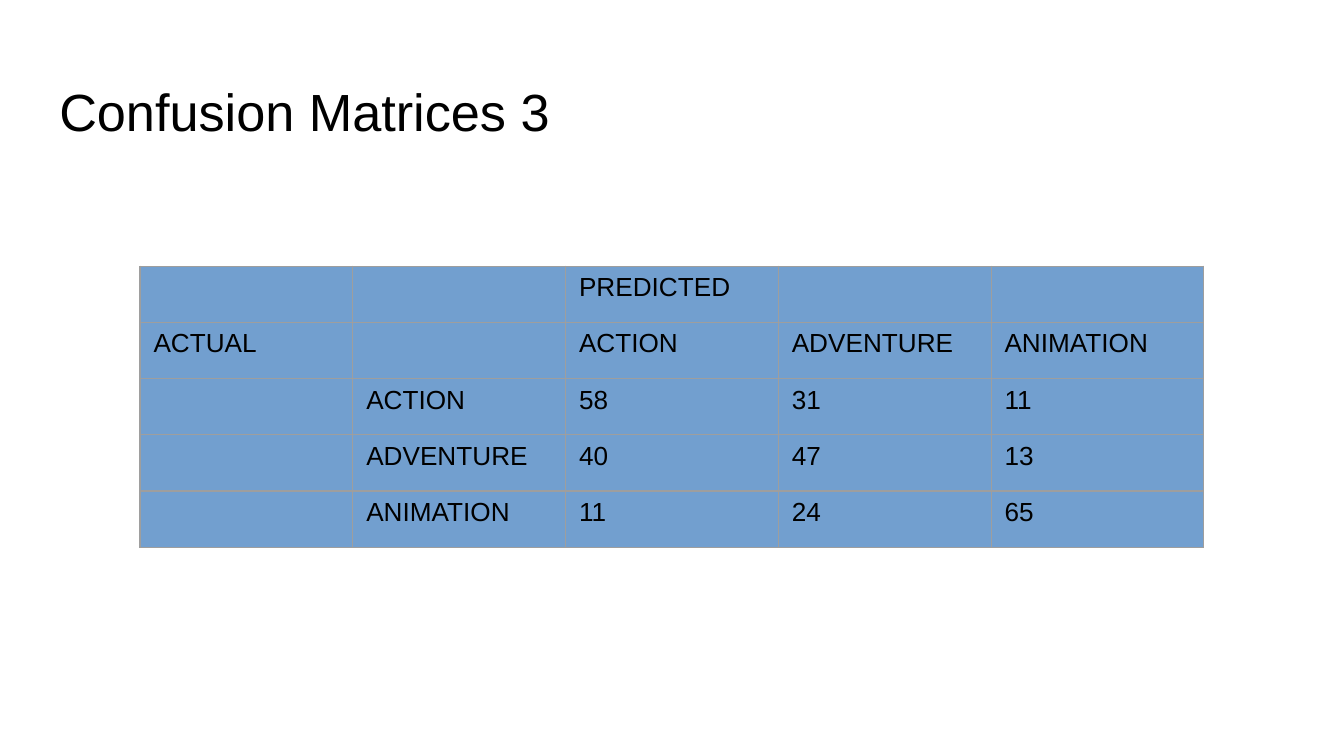
from lxml import etree
from pptx import Presentation
from pptx.dml.color import RGBColor
from pptx.enum.text import MSO_ANCHOR, MSO_AUTO_SIZE, PP_ALIGN
from pptx.oxml.ns import qn
from pptx.util import Inches, Pt

LEFT = PP_ALIGN.LEFT
TOP = MSO_ANCHOR.TOP
NO_AUTOFIT = MSO_AUTO_SIZE.NONE

BLACK = RGBColor(0x00, 0x00, 0x00)
BLUE = RGBColor(0x72, 0x9F, 0xCF)
GREY = RGBColor(0x9E, 0x9E, 0x9E)

WIDTH, HEIGHT = Pt(720), Pt(405)
TITLE_ONLY = 5

GENRES = ["ACTION", "ADVENTURE", "ANIMATION"]
COUNTS = [[58, 31, 11], [40, 47, 13], [11, 24, 65]]


class SlideBuilder:
    """Places styled elements; boxes are (left, top, width, height) in percent of the slide."""

    font_name = "Arial"
    title_size = Pt(28)
    cell_size = Pt(14)
    border_width = Pt(0.75)

    def __init__(self, presentation):
        self.slide = presentation.slides.add_slide(presentation.slide_layouts[TITLE_ONLY])

    def to_lengths(self, box):
        return [round(share * side / 100) for share, side in zip(box, (WIDTH, HEIGHT) * 2)]

    def add_run(self, paragraph, text, size):
        run = paragraph.add_run()
        run.text = text
        run.font.name = self.font_name
        run.font.size = size
        run.font.color.rgb = BLACK

    def add_title(self, text, box):
        title = self.slide.shapes.title
        title.left, title.top, title.width, title.height = self.to_lengths(box)
        frame = title.text_frame
        frame.auto_size = NO_AUTOFIT
        frame.margin_left = frame.margin_right = Inches(0.1)
        frame.margin_top = frame.margin_bottom = Inches(0.1)
        frame.vertical_anchor = TOP
        paragraph = frame.paragraphs[0]
        paragraph.alignment = LEFT
        self.add_run(paragraph, text, self.title_size)

    def add_table(self, rows, box):
        frame = self.slide.shapes.add_table(len(rows), len(rows[0]), *self.to_lengths(box))
        table = frame.table
        table.first_row = table.horz_banding = False
        for row_index, row in enumerate(rows):
            for column_index, value in enumerate(row):
                self.format_cell(table.cell(row_index, column_index), value)

    def format_cell(self, cell, value):
        cell.margin_left = cell.margin_right = Inches(0.1)
        cell.margin_top = cell.margin_bottom = Inches(0.05)
        cell.vertical_anchor = TOP
        self.add_borders(cell)
        cell.fill.solid()
        cell.fill.fore_color.rgb = BLUE
        if value != "":
            self.add_run(cell.text_frame.paragraphs[0], str(value), self.cell_size)

    def add_borders(self, cell):
        """Border lines must come before the fill in the cell's properties."""
        properties = cell._tc.get_or_add_tcPr()
        for side in ("a:lnL", "a:lnR", "a:lnT", "a:lnB"):
            line = etree.SubElement(properties, qn(side), w=str(self.border_width))
            fill = etree.SubElement(line, qn("a:solidFill"))
            etree.SubElement(fill, qn("a:srgbClr"), val=str(GREY))


def main():
    presentation = Presentation()
    presentation.slide_width, presentation.slide_height = WIDTH, HEIGHT

    builder = SlideBuilder(presentation)
    builder.add_title("Confusion Matrices 3", (3.41, 8.65, 93.18, 11.13))

    header_rows = [["", "", "PREDICTED", "", ""], ["ACTUAL", "", *GENRES]]
    count_rows = [["", genre, *counts] for genre, counts in zip(GENRES, COUNTS)]
    builder.add_table(header_rows + count_rows, (10.42, 35.22, 79.17, 37.2))

    presentation.save("out.pptx")


if __name__ == "__main__":
    main()
